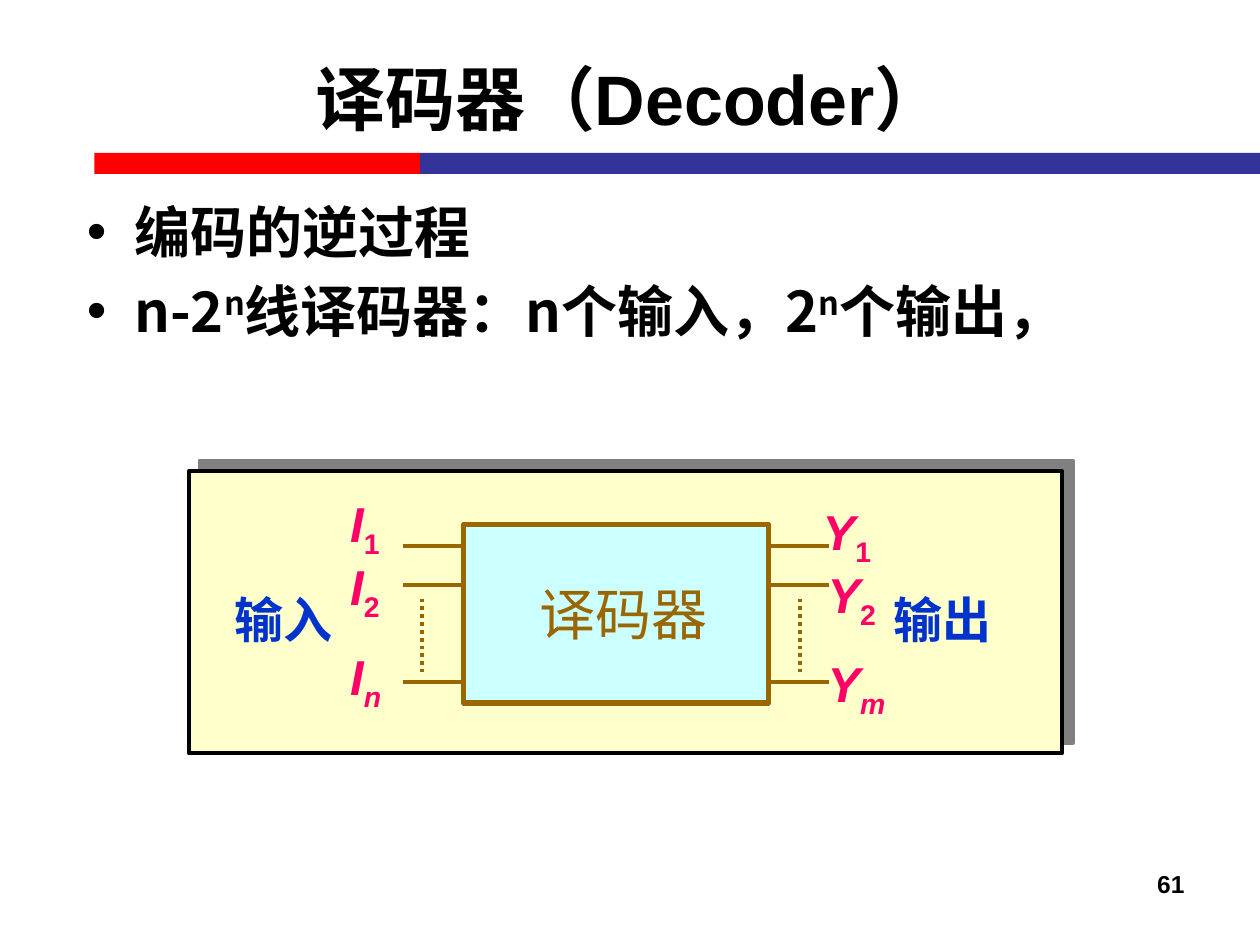
"""Build the decoder slide with its block diagram."""
from dataclasses import dataclass

from lxml import etree
from pptx import Presentation
from pptx.dml.color import RGBColor
from pptx.enum.dml import MSO_LINE
from pptx.enum.shapes import MSO_CONNECTOR, MSO_SHAPE
from pptx.enum.text import MSO_ANCHOR, MSO_AUTO_SIZE, PP_ALIGN
from pptx.oxml import parse_xml
from pptx.oxml.ns import qn
from pptx.util import Pt

RECTANGLE = MSO_SHAPE.RECTANGLE
STRAIGHT = MSO_CONNECTOR.STRAIGHT
DOTTED = MSO_LINE.ROUND_DOT
MIDDLE = MSO_ANCHOR.MIDDLE
TOP = MSO_ANCHOR.TOP
FIXED = MSO_AUTO_SIZE.NONE
CENTER = PP_ALIGN.CENTER
RIGHT = PP_ALIGN.RIGHT


@dataclass(frozen=True)
class Theme:
    black: str = "000000"
    red: str = "FF0000"
    navy: str = "333399"
    cream: str = "FFFFCC"
    aqua: str = "CCFFFF"
    brown: str = "996600"
    pink: str = "FF0066"
    blue: str = "0033CC"
    latin: str = "Arial"
    asian: str = "Noto Sans CJK SC"
    title: int = 40
    body: int = 32
    label: int = 28
    number: int = 14


theme = Theme()


def write(para, text, size, color=theme.black, font=theme.latin,
          bold=True, italic=False, baseline=0):
    span = para.add_run()
    span.text = text
    span.font.size = Pt(size)
    span.font.color.rgb = RGBColor.from_string(color)
    span.font.name = font
    span.font.bold = bold
    span.font.italic = italic
    properties = span.font._element
    etree.SubElement(properties, qn("a:ea")).set("typeface", theme.asian)
    if baseline:
        properties.set("baseline", str(baseline * 1000))


def place(box, left, top, width, height):
    box.left, box.top, box.width, box.height = map(Pt, (left, top, width, height))
    box.text_frame.auto_size = FIXED
    box.text_frame.word_wrap = True
    return box.text_frame


deck = Presentation()
deck.slide_width, deck.slide_height = Pt(720), Pt(540)
page = deck.slides.add_slide(deck.slide_layouts[1])
shapes = page.shapes

rectangles = []
for left, top, width, height, fill, line, weight in (
    (54, 87.4, 186, 12, theme.red, None, 0),
    (240, 87.4, 480, 12, theme.navy, None, 0),
    (108, 269.3, 499, 161.3, theme.cream, theme.black, 2.25),
    (265, 299.5, 174.2, 102.2, theme.aqua, theme.brown, 3),
):
    shape = shapes.add_shape(RECTANGLE, Pt(left), Pt(top), Pt(width), Pt(height))
    shape.shadow.inherit = False
    shape.fill.solid()
    shape.fill.fore_color.rgb = RGBColor.from_string(fill)
    if line:
        shape.line.color.rgb = RGBColor.from_string(line)
        shape.line.width = Pt(weight)
    else:
        shape.line.fill.background()
    rectangles.append(shape)
panel, decoder = rectangles[2:]

panel._element.spPr.find(qn("a:effectLst")).append(parse_xml(
    '<a:outerShdw xmlns:a="http://schemas.openxmlformats.org/drawingml/2006/main" '
    f'dist="{Pt(8.5)}" dir="18900000" algn="ctr" rotWithShape="0">'
    '<a:srgbClr val="808080"/></a:outerShdw>'))

frame = decoder.text_frame
frame.vertical_anchor = MIDDLE
frame.margin_left = Pt(16)
frame.paragraphs[0].alignment = CENTER
write(frame.paragraphs[0], "译码器", theme.body, theme.brown, bold=False)

frame = place(shapes.title, 36, 10.8, 648, 90)
frame.vertical_anchor = MIDDLE
frame.paragraphs[0].alignment = CENTER
write(frame.paragraphs[0], "译码器（Decoder）", theme.title)

frame = place(page.placeholders[1], 42.5, 109.4, 648, 410.4)
frame.vertical_anchor = TOP
bullets = (
    (("编码的逆过程", 0),),
    (("n-2", 0), ("n", 30), ("线译码器：n个输入，2", 0), ("n", 30), ("个输出，", 0)),
)
for index, parts in enumerate(bullets):
    para = frame.add_paragraph() if index else frame.paragraphs[0]
    properties = para._p.get_or_add_pPr()
    properties.set("marL", str(Pt(27)))
    properties.set("indent", str(Pt(-27)))
    etree.SubElement(properties, qn("a:buFont")).set("typeface", theme.latin)
    etree.SubElement(properties, qn("a:buChar")).set("char", "•")
    para.space_before = Pt(6.4 * index)
    for text, baseline in parts:
        write(para, text, theme.body, font=theme.asian, baseline=baseline)

wires = [(left, y, left + 34.5, y, None)
         for y in (311.8, 334.1, 389.5) for left in (230.5, 439)]
dots = [(x, 342, x, 384, DOTTED) for x in (241.2, 457.2)]
for start_x, start_y, end_x, end_y, dash in wires + dots:
    wire = shapes.add_connector(
        STRAIGHT, Pt(start_x), Pt(start_y), Pt(end_x), Pt(end_y))
    wire.line.color.rgb = RGBColor.from_string(theme.brown)
    wire.line.width = Pt(2.25)
    if dash:
        wire.line.dash_style = dash
    etree.SubElement(wire._element.spPr, qn("a:effectLst"))

for left, top, name, subscript in (
    (193, 278.6, "I", "1"), (193, 314.6, "I", "2"), (193, 365.8, "I", "n"),
    (463, 283, "Y", "1"), (465.8, 319, "Y", "2"), (465.8, 370, "Y", "m"),
):
    frame = place(shapes.add_textbox(0, 0, 0, 0), left, top, 60, 41)
    para = frame.paragraphs[0]
    write(para, name, theme.label, theme.pink, italic=True)
    write(para, subscript, theme.label, theme.pink,
          italic=subscript.isalpha(), baseline=-25)

for left, width, text in ((126.7, 105, "输入"), (503.3, 121, "输出")):
    frame = place(shapes.add_textbox(0, 0, 0, 0), left, 333.4, width, 41)
    write(frame.paragraphs[0], text, theme.label, theme.blue)

frame = place(shapes.add_textbox(0, 0, 0, 0), 516.2, 493.2, 167.8, 36)
frame.paragraphs[0].alignment = RIGHT
write(frame.paragraphs[0], "61", theme.number)

deck.save("out.pptx")
